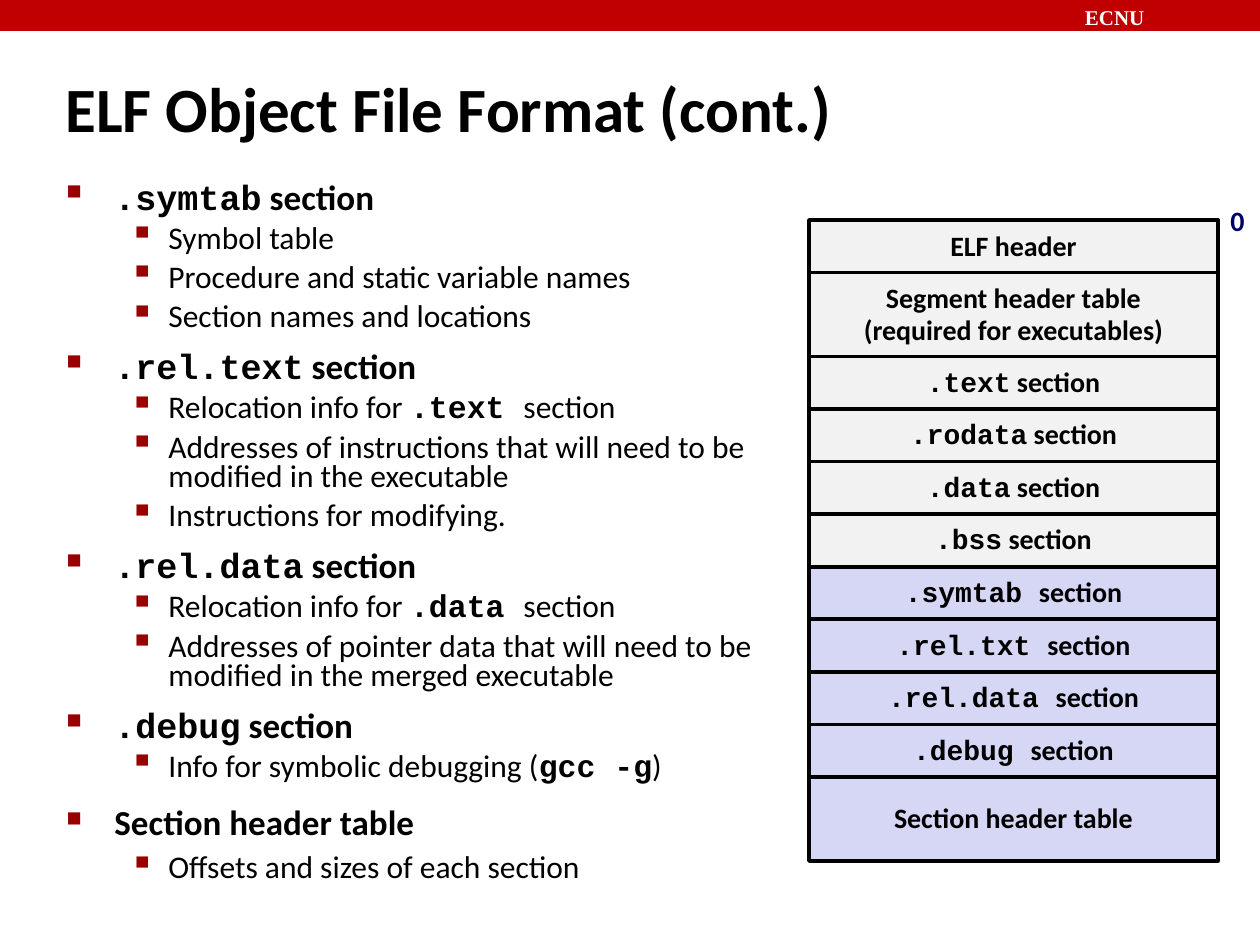
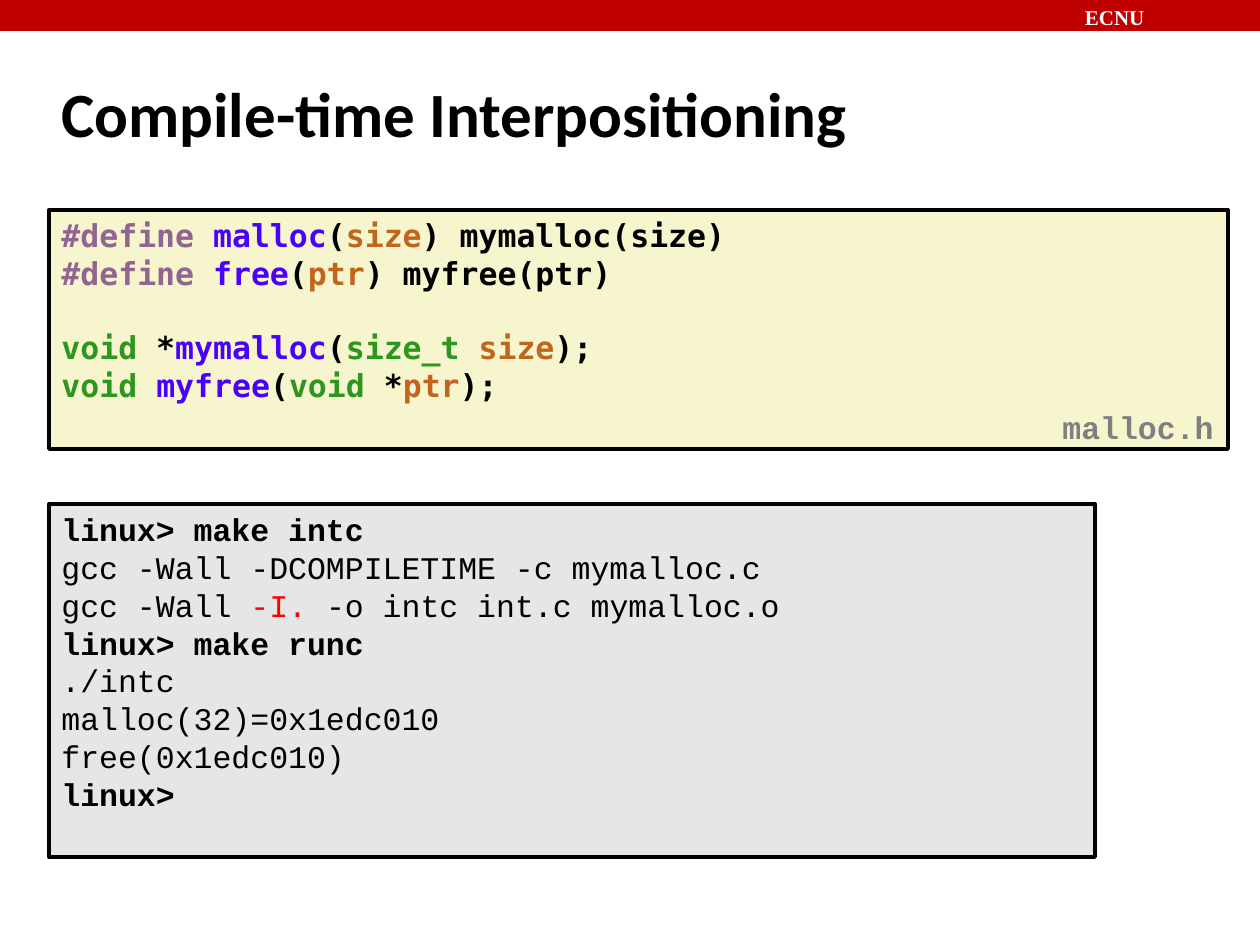
from dataclasses import dataclass, replace

from lxml.etree import SubElement
from pptx import Presentation
from pptx.dml.color import RGBColor
from pptx.enum.shapes import MSO_SHAPE
from pptx.enum.text import MSO_ANCHOR, PP_ALIGN
from pptx.oxml.ns import qn
from pptx.util import Emu, Pt

PX = 914400 / 126


@dataclass(frozen=True)
class Style:
    font: str
    size: int
    color: str = "000000"
    bold: bool = True


@dataclass(frozen=True)
class Theme:
    band: str = "C00000"
    bullet: str = "990000"
    line: str = "000000"
    loaded: str = "F2F2F2"
    current: str = "D6D6F5"
    source: str = "F7F5CD"
    terminal: str = "E6E6E6"
    badge: Style = Style("Times New Roman", 12, "FFFFFF")
    title: Style = Style("Calibri", 36)
    topic: Style = Style("Calibri", 20)
    topic_code: Style = Style("Courier New", 20)
    detail: Style = Style("Calibri", 18, bold=False)
    detail_code: Style = Style("Courier New", 18)
    cell: Style = Style("Calibri", 16)
    cell_code: Style = Style("Courier New", 16)
    offset: Style = Style("Calibri", 16, "000066")
    code: Style = Style("DejaVu Sans Mono", 18)
    directive: Style = replace(code, color="926492")
    function: Style = replace(code, color="4A00FF")
    variable: Style = replace(code, color="C1651C")
    type_name: Style = replace(code, color="2D961E")
    file_name: Style = replace(detail_code, color="7F7F7F")
    command: Style = detail_code
    output: Style = replace(detail_code, bold=False)
    flag: Style = replace(output, color="FF0000")


THEME = Theme()


def px(length):
    return Emu(round(length * PX))


def write_spans(para, spans):
    for text, style in spans:
        span = para.add_run()
        span.text = text
        span.font.name = style.font
        span.font.size = Pt(style.size)
        span.font.bold = style.bold
        span.font.color.rgb = RGBColor.from_string(style.color)


def write_paras(frame, lines, align=PP_ALIGN.LEFT, spacing=None):
    paras = []
    for index, spans in enumerate(lines):
        para = frame.add_paragraph() if index else frame.paragraphs[0]
        para.alignment = align
        if spacing:
            para.line_spacing = spacing
        write_spans(para, spans)
        paras.append(para)
    return paras


def add_text(page, box, wrap=True, anchor=MSO_ANCHOR.TOP):
    frame = page.shapes.add_textbox(*map(px, box)).text_frame
    frame.word_wrap = wrap
    frame.vertical_anchor = anchor
    return frame


def add_panel(page, box, fill, line_width=0, anchor=MSO_ANCHOR.TOP):
    panel = page.shapes.add_shape(MSO_SHAPE.RECTANGLE, *map(px, box))
    panel.shadow.inherit = False
    panel.fill.solid()
    panel.fill.fore_color.rgb = RGBColor.from_string(fill)
    if line_width:
        panel.line.color.rgb = RGBColor.from_string(THEME.line)
        panel.line.width = Pt(line_width)
    else:
        panel.line.fill.background()
    panel.text_frame.word_wrap = True
    panel.text_frame.vertical_anchor = anchor
    return panel.text_frame


def add_page(deck, title, title_box):
    page = deck.slides.add_slide(deck.slide_layouts[6])
    add_panel(page, (0, 0, 1260, 31), THEME.band)
    badge = add_panel(page, (1080, 0, 180, 31), THEME.band)
    badge.margin_left = badge.margin_top = badge.margin_right = badge.margin_bottom = px(5)
    write_paras(badge, [[("ECNU", THEME.badge)]])
    frame = add_text(page, title_box, anchor=MSO_ANCHOR.MIDDLE)
    write_paras(frame, [[(title, THEME.title)]])
    return page


def set_bullet(para, char, percent, margin, hang):
    props = para._p.get_or_add_pPr()
    props.set("marL", str(px(margin)))
    props.set("indent", str(-px(hang)))
    color = SubElement(props, qn("a:buClr"))
    SubElement(color, qn("a:srgbClr"), val=THEME.bullet)
    SubElement(props, qn("a:buSzPct"), val=str(percent * 1000))
    SubElement(props, qn("a:buChar"), char=char)


def add_outline(page, box, topics):
    lines, levels = [], []
    for heading, details, spacings in topics:
        lines += [heading, *details]
        levels += [(0, spacings[0])] + [(1, spacings[1])] * len(details)
    paras = write_paras(add_text(page, box), lines)
    for index, (para, (level, spacing)) in enumerate(zip(paras, levels)):
        if level:
            set_bullet(para, "▪", 110, 102, 39)
        else:
            set_bullet(para, "■", 60, 48, 48)
        para.level = level
        para.line_spacing = spacing
        if index:
            para.space_before = Pt(5.6 if level else 12.5)


def add_file_layout(page, box, rows):
    left, top, width, height = box
    unit = height / sum(weight for weight, *_ in rows)
    for weight, fill, lines, spacing in rows:
        cell_box = (left, top, width, weight * unit)
        frame = add_panel(page, cell_box, fill, 2, MSO_ANCHOR.MIDDLE)
        frame.word_wrap = False
        write_paras(frame, lines, PP_ALIGN.CENTER, spacing)
        top += weight * unit
    offset = add_text(page, (left + width, box[1] - 21, 39, 45), wrap=False)
    write_paras(offset, [[("0", THEME.offset)]], spacing=0.98)


def add_listing(page, box, lines, file_name, gap_before):
    left, top, width, height = box
    paras = write_paras(add_panel(page, box, THEME.source, 2.25), lines)
    paras[gap_before].space_before = Pt(21)
    label = add_text(page, (left + width - 178, top + height - 47, 176, 50), wrap=False)
    write_paras(label, [[(file_name, THEME.file_name)]])


def add_terminal(page, box, lines):
    write_paras(add_panel(page, box, THEME.terminal, 2.25), lines)


def build_format_page(deck):
    page = add_page(deck, "ELF Object File Format (cont.)", (53, 53, 1201, 108))
    plain, mono = THEME.detail, THEME.detail_code

    def heading(name):
        return [(name, THEME.topic_code), (" section", THEME.topic)]

    def relocation(name):
        return [("Relocation info for ", plain), (name + " ", mono), ("section", plain)]

    tight, loose = (0.71, 0.78), (0.88, 0.88)
    add_outline(page, (54, 180, 727, 753), [
        (heading(".symtab"), [
            [("Symbol table", plain)],
            [("Procedure and static variable names", plain)],
            [("Section names and locations", plain)],
        ], tight),
        (heading(".rel.text"), [
            relocation(".text"),
            [("Addresses of instructions that will need to be modified in the executable", plain)],
            [("Instructions for modifying.", plain)],
        ], tight),
        (heading(".rel.data"), [
            relocation(".data"),
            [("Addresses of pointer data that will need to be modified in the merged executable", plain)],
        ], tight),
        (heading(".debug"), [
            [("Info for symbolic debugging (", plain), ("gcc -g", mono), (")", plain)],
        ], tight),
        ([("Section header table", THEME.topic)], [
            [("Offsets and sizes of each section", plain)],
        ], loose),
    ])

    def header_row(weight, fill, *texts):
        return weight, fill, [[(text, THEME.cell)] for text in texts], 0.98

    def section_row(fill, name, label):
        return 5, fill, [[(name, THEME.cell_code), (label, THEME.cell)]], 0.94

    loaded = [".text", ".rodata", ".data", ".bss"]
    current = [".symtab ", ".rel.txt ", ".rel.data ", ".debug "]
    add_file_layout(page, (809, 220, 409, 641), [
        header_row(5, THEME.loaded, "ELF header"),
        header_row(8, THEME.loaded, "Segment header table", "(required for executables)"),
        *[section_row(THEME.loaded, name, " section") for name in loaded],
        *[section_row(THEME.current, name, "section") for name in current],
        header_row(8, THEME.current, "Section header table"),
    ])


def build_interposition_page(deck):
    page = add_page(deck, "Compile-time Interpositioning", (49, 60, 1046, 105))
    code, kind = THEME.code, THEME.type_name

    def define(name, argument, body):
        return [("#define ", THEME.directive), (name, THEME.function), ("(", code),
                (argument, THEME.variable), (") " + body, code)]

    add_listing(page, (49, 210, 1179, 239), [
        define("malloc", "size", "mymalloc(size)"),
        define("free", "ptr", "myfree(ptr)"),
        [("void", kind), (" *", code), ("mymalloc", THEME.function), ("(", code),
         ("size_t ", kind), ("size", THEME.variable), (");", code)],
        [("void ", kind), ("myfree", THEME.function), ("(", code), ("void", kind),
         (" *", code), ("ptr", THEME.variable), (");", code)],
    ], "malloc.h", gap_before=2)

    add_terminal(page, (49, 504, 1046, 353), [
        [("linux> make intc", THEME.command)],
        [("gcc -Wall -DCOMPILETIME -c mymalloc.c", THEME.output)],
        [("gcc -Wall ", THEME.output), ("-I. ", THEME.flag),
         ("-o intc int.c mymalloc.o", THEME.output)],
        [("linux> make runc", THEME.command)],
        [("./intc", THEME.output)],
        [("malloc(32)=0x1edc010", THEME.output)],
        [("free(0x1edc010)", THEME.output)],
        [("linux>", THEME.command)],
    ])


def main():
    deck = Presentation()
    deck.slide_width, deck.slide_height = px(1260), px(945)
    build_format_page(deck)
    build_interposition_page(deck)
    deck.save("out.pptx")


if __name__ == "__main__":
    main()
